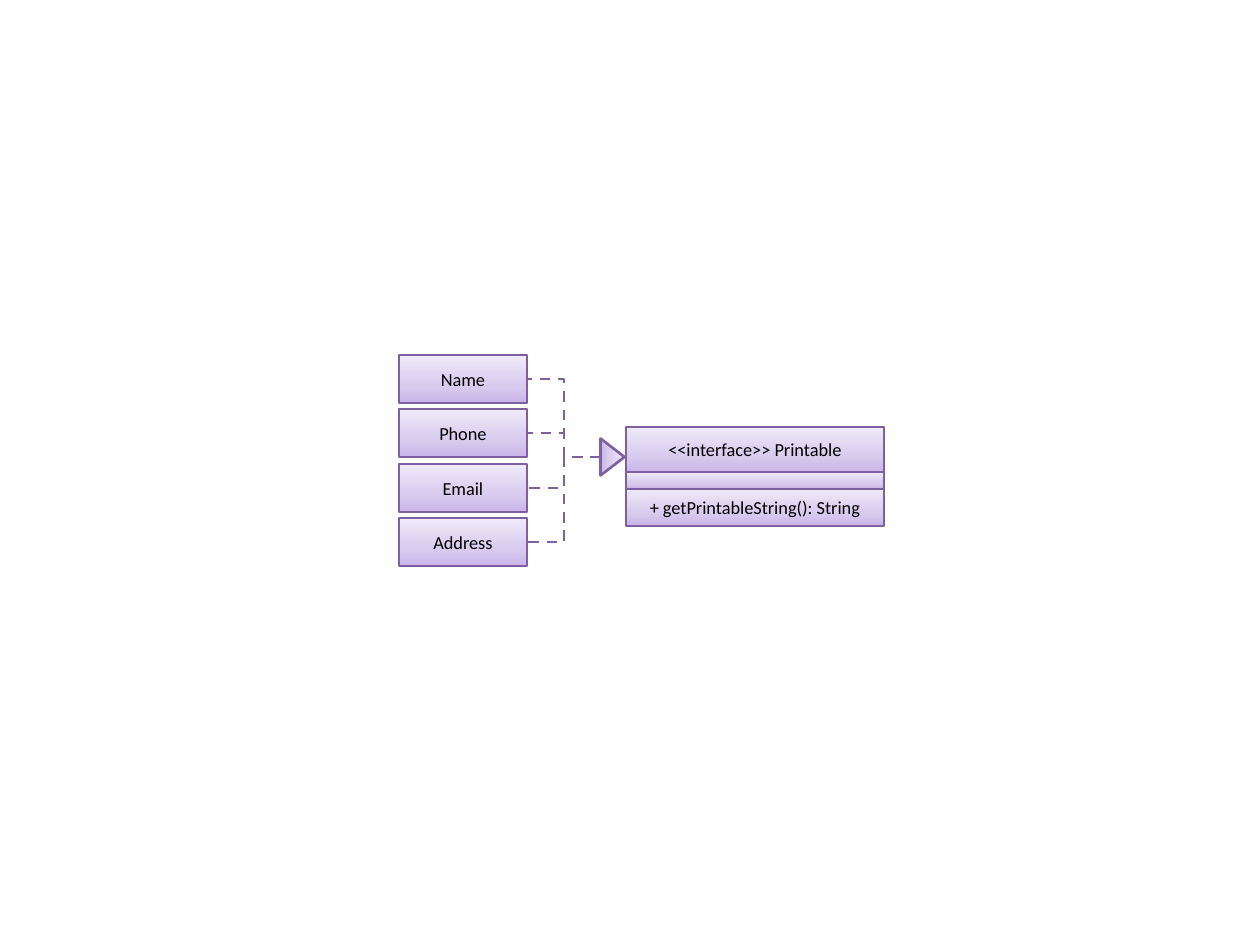
from copy import deepcopy
from dataclasses import dataclass

from pptx import Presentation
from pptx.dml.color import RGBColor
from pptx.enum.dml import MSO_LINE
from pptx.enum.shapes import MSO_CONNECTOR, MSO_SHAPE
from pptx.enum.text import MSO_ANCHOR, PP_ALIGN
from pptx.oxml import parse_xml
from pptx.oxml.ns import nsdecls, qn
from pptx.util import Pt

EMU_PER_PX = 914400 / 126


@dataclass(frozen=True)
class Theme:
    line: str = "7D60A0"
    text: str = "000000"
    gradient: tuple = ((0, "C9B5E8"), (0.35, "D8CBEE"), (1, "F0EAF9"))
    font: str = "Calibri"
    text_size: float = 10.5
    line_width: float = 1.5


THEME = Theme()


def px(*lengths):
    return [round(n * EMU_PER_PX) for n in lengths]


def style_line(line):
    line.color.rgb = RGBColor.from_string(THEME.line)
    line.width = Pt(THEME.line_width)


def fill_gradient(sp):
    sp.fill.gradient()
    sp.fill.gradient_angle = 90
    stops = sp.element.spPr.find(qn("a:gradFill")).find(qn("a:gsLst"))
    stops.append(deepcopy(stops[-1]))
    for stop, (position, color) in zip(sp.fill.gradient_stops, THEME.gradient):
        stop.position = position
        stop.color.rgb = RGBColor.from_string(color)


def add_node(s, kind, x, y, w, h):
    sp = s.shapes.add_shape(kind, *px(x, y, w, h))
    sp.shadow.inherit = False
    fill_gradient(sp)
    style_line(sp.line)
    return sp


def add_box(s, text, x, y, w, h):
    sp = add_node(s, MSO_SHAPE.RECTANGLE, x, y, w, h)
    if text:
        tf = sp.text_frame
        tf.word_wrap = True
        tf.vertical_anchor = MSO_ANCHOR.MIDDLE
        p = tf.paragraphs[0]
        p.text = text
        p.alignment = PP_ALIGN.CENTER
        p.font.name = THEME.font
        p.font.size = Pt(THEME.text_size)
        p.font.color.rgb = RGBColor.from_string(THEME.text)


def add_realization(s, x1, y1, x2, y2):
    cxn = s.shapes.add_connector(MSO_CONNECTOR.ELBOW, *px(x1, y1, x2, y2))
    cxn.element.spPr.append(parse_xml(f"<a:effectLst {nsdecls('a')}/>"))
    style_line(cxn.line)
    cxn.line.dash_style = MSO_LINE.DASH


def add_interface(s, x, y, w):
    rows = (
        ("<<interface>> Printable", 45),
        ("", 17),
        ("+ getPrintableString(): String", 37),
    )
    for text, h in rows:
        add_box(s, text, x, y, w, h)
        y += h


def add_classes(s, names, x, y, w, h, pitch, target):
    for i, name in enumerate(names):
        top = y + round(i * pitch)
        add_realization(s, *target, x + w, top + h // 2)
        add_box(s, name, x, top, w, h)


def main():
    """Build the class diagram slide and save it."""
    prs = Presentation()
    prs.slide_width, prs.slide_height = px(1260, 945)
    s = prs.slides.add_slide(prs.slide_layouts[6])
    names = ("Name", "Phone", "Email", "Address")
    add_classes(s, names, 399, 355, 128, 48, 54.33, (601, 457))
    add_interface(s, 626, 427, 258)
    arrowhead = add_node(s, MSO_SHAPE.ISOSCELES_TRIANGLE, 594, 445, 37, 24)
    arrowhead.rotation = 90
    prs.save("out.pptx")


if __name__ == "__main__":
    main()
